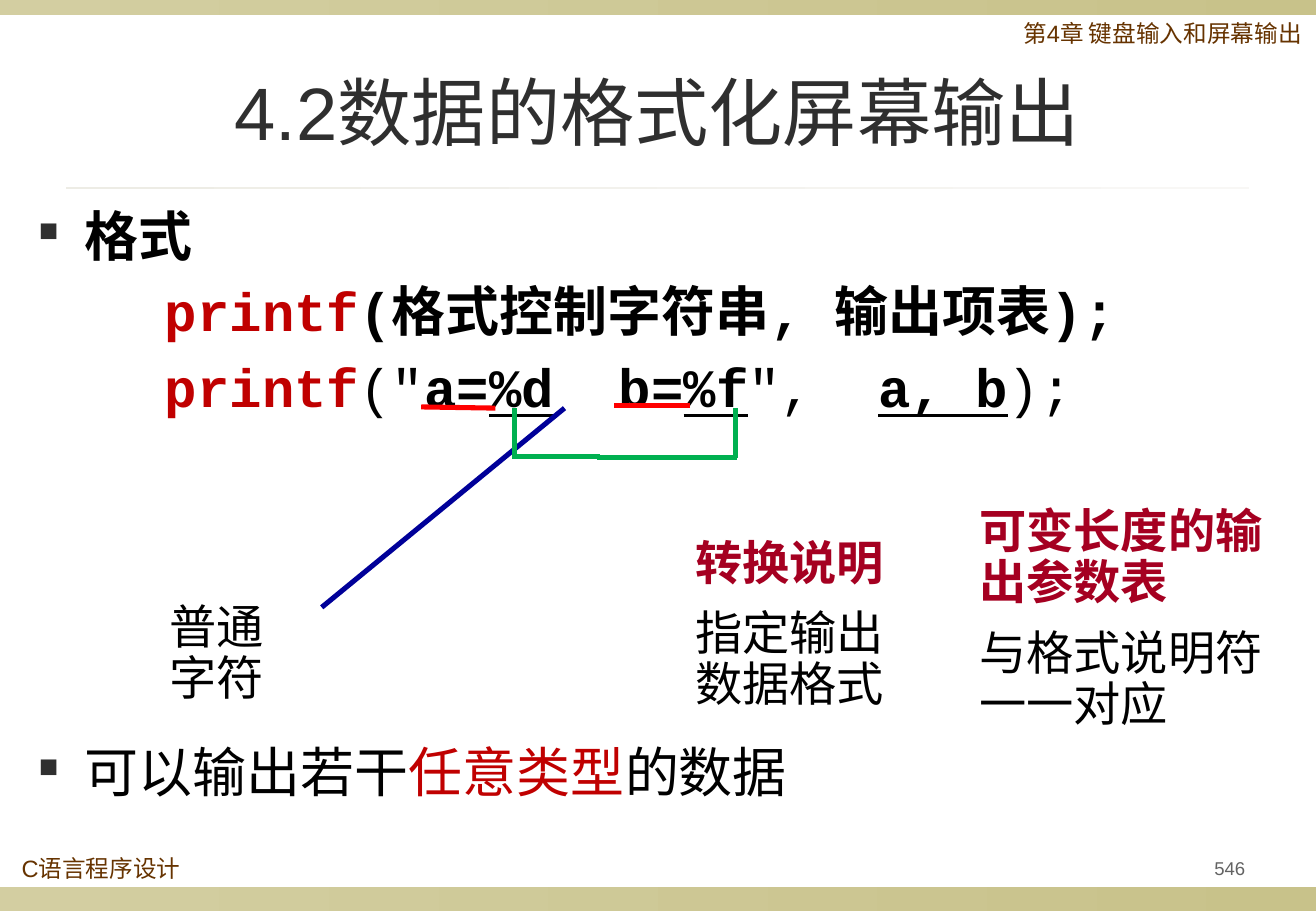
from lxml import etree
from pptx import Presentation
from pptx.dml.color import RGBColor
from pptx.enum.shapes import MSO_CONNECTOR, MSO_SHAPE
from pptx.enum.text import MSO_ANCHOR, PP_ALIGN
from pptx.oxml.ns import qn
from pptx.util import Inches, Pt

STRAIGHT = MSO_CONNECTOR.STRAIGHT
RECTANGLE = MSO_SHAPE.RECTANGLE
TOP, MIDDLE = MSO_ANCHOR.TOP, MSO_ANCHOR.MIDDLE
LEFT, CENTER = PP_ALIGN.LEFT, PP_ALIGN.CENTER

BLACK, RED, CRIMSON, BROWN = "000000", "C00000", "A50021", "663300"
DARK_GREY, GREY = "2F2F2F", "636363"
BRIGHT_RED, BLUE, GREEN = "FF0000", "000099", "00B050"
SANS, SERIF, CODE, CHINESE = "Arial", "Times New Roman", "Courier New", "Noto Sans CJK SC"


def color(hex_string):
    return RGBColor.from_string(hex_string)


def add_text(box, paragraphs, size, anchor=TOP, align=LEFT, line_spacing=0.9, space=0, inset=0.1):
    """Add a text box; each paragraph is (font, indent, bulleted, runs),
    each run is (text, colour, bold, underlined)."""
    frame = slide.shapes.add_textbox(*map(Inches, box)).text_frame
    frame.word_wrap = True
    frame.vertical_anchor = anchor
    frame.margin_left, frame.margin_right = Inches(inset), 0
    if align == CENTER:
        frame.margin_right = Inches(inset)
    for index, (font_name, indent, bulleted, runs) in enumerate(paragraphs):
        paragraph = frame.paragraphs[0] if index == 0 else frame.add_paragraph()
        paragraph.alignment = align
        paragraph.line_spacing = line_spacing
        paragraph.space_before = paragraph.space_after = Pt(space)
        properties = paragraph._p.get_or_add_pPr()
        properties.set("marL", str(Inches(indent)))
        properties.set("indent", str(-Inches(indent) if bulleted else 0))
        if bulleted:
            bullet_color = etree.SubElement(properties, qn("a:buClr"))
            etree.SubElement(bullet_color, qn("a:srgbClr"), val=DARK_GREY)
            etree.SubElement(properties, qn("a:buSzPct"), val="50000")
            etree.SubElement(properties, qn("a:buChar"), char="■")
        paragraph.font.name = font_name
        paragraph.font.size = Pt(size)
        for text, text_color, bold, underlined in runs:
            run = paragraph.add_run()
            run.text = text
            run.font.color.rgb = color(text_color)
            run.font.bold = bold
            run.font.underline = underlined


presentation = Presentation()
presentation.slide_width, presentation.slide_height = Inches(10.84), Inches(7.5)
slide = presentation.slides.add_slide(presentation.slide_layouts[6])

# Bands at the slide edges and the rule under the title
for left, top, width, height, start, end in [
    (0, 7.3, 10.84, 0.2, "D3CEA1", "C8C28A"),
    (0, 0, 10.84, 0.12, "D3CEA1", "C8C28A"),
    (0.54, 1.54, 9.75, 0.02, "EDECE5", "F8F7F5"),
]:
    band = slide.shapes.add_shape(RECTANGLE, *map(Inches, (left, top, width, height)))
    band.shadow.inherit = False
    band.line.fill.background()
    band.fill.gradient()
    band.fill.gradient_angle = 0
    for stop, stop_color in zip(band.fill.gradient_stops, (start, end)):
        stop.color.rgb = color(stop_color)

# Header, footer, page number and title
for box, text, size, text_color, options in [
    ((8.33, 0.13, 2.51, 0.39), "第4章 键盘输入和屏幕输出", 14, BROWN, {}),
    ((0.08, 7.01, 1.64, 0.44), "C语言程序设计", 14, BROWN, {}),
    ((9.59, 7, 1.08, 0.31), "546", 11, GREY, {"anchor": MIDDLE, "align": CENTER}),
    ((0.54, 0.29, 9.75, 1.25), "4.2数据的格式化屏幕输出", 44, DARK_GREY,
     {"anchor": MIDDLE, "align": CENTER, "line_spacing": 1}),
]:
    add_text(box, [(SANS, 0, False, [(text, text_color, False, False)])], size, **options)

# Syntax and example of printf, then the closing point
syntax = [("printf", RED, True, False), ("(格式控制字符串, 输出项表);", BLACK, True, False)]
example = [
    ("printf", RED, True, False),
    ("(\"", BLACK, False, False),
    ("a=", BLACK, True, False),
    ("%d", BLACK, True, True),
    ("  b=", BLACK, True, False),
    ("%f", BLACK, True, True),
    ("\",  ", BLACK, False, False),
    ("a, b", BLACK, True, True),
    (");", BLACK, False, False),
]
closing = [
    ("可以输出若干", BLACK, False, False),
    ("任意类型", RED, False, False),
    ("的数据", BLACK, False, False),
]
add_text((0.22, 1.7, 10.02, 1.9), [
    (SERIF, 0.38, True, [("格式", BLACK, True, False)]),
    (CODE, 1.04, False, syntax),
    (CODE, 1.04, False, example),
], 32, line_spacing=0.85, space=6)
add_text((0.22, 6.11, 10.02, 0.7), [(SERIF, 0.38, True, closing)], 32, line_spacing=0.85, space=6)

# Explanations of the parts of the call
for box, heading, explanation in [
    ((7.97, 4.13, 2.56, 1.95), "可变长度的输出参数表", "与格式说明符一一对应"),
    ((1.3, 4.92, 1.16, 0.94), None, "普通字符"),
    ((5.63, 4.39, 2.02, 1.53), "转换说明", "指定输出数据格式"),
]:
    paragraphs = [(CHINESE, 0, False, [(explanation, BLACK, False, False)])]
    if heading:
        paragraphs.insert(0, (CHINESE, 0, False, [(heading, CRIMSON, True, False)]))
    add_text(box, paragraphs, 28, space=5.9)

# Underlines of the plain characters, their pointer, and the bracket joining %d and %f
for start_x, start_y, end_x, end_y, line_color in [
    (3.47, 3.35, 4.08, 3.36, BRIGHT_RED),
    (5.06, 3.34, 5.68, 3.34, BRIGHT_RED),
    (4.65, 3.36, 2.65, 5, BLUE),
    (4.24, 3.36, 4.24, 3.78, GREEN),
    (4.24, 3.76, 4.94, 3.76, GREEN),
    (6.06, 3.36, 6.06, 3.77, GREEN),
    (6.07, 3.77, 4.92, 3.77, GREEN),
]:
    line = slide.shapes.add_connector(STRAIGHT, *map(Inches, (start_x, start_y, end_x, end_y)))
    line.line.color.rgb = color(line_color)
    line.line.width = Pt(3)
    etree.SubElement(line._element.spPr, qn("a:effectLst"))

presentation.save("out.pptx")
